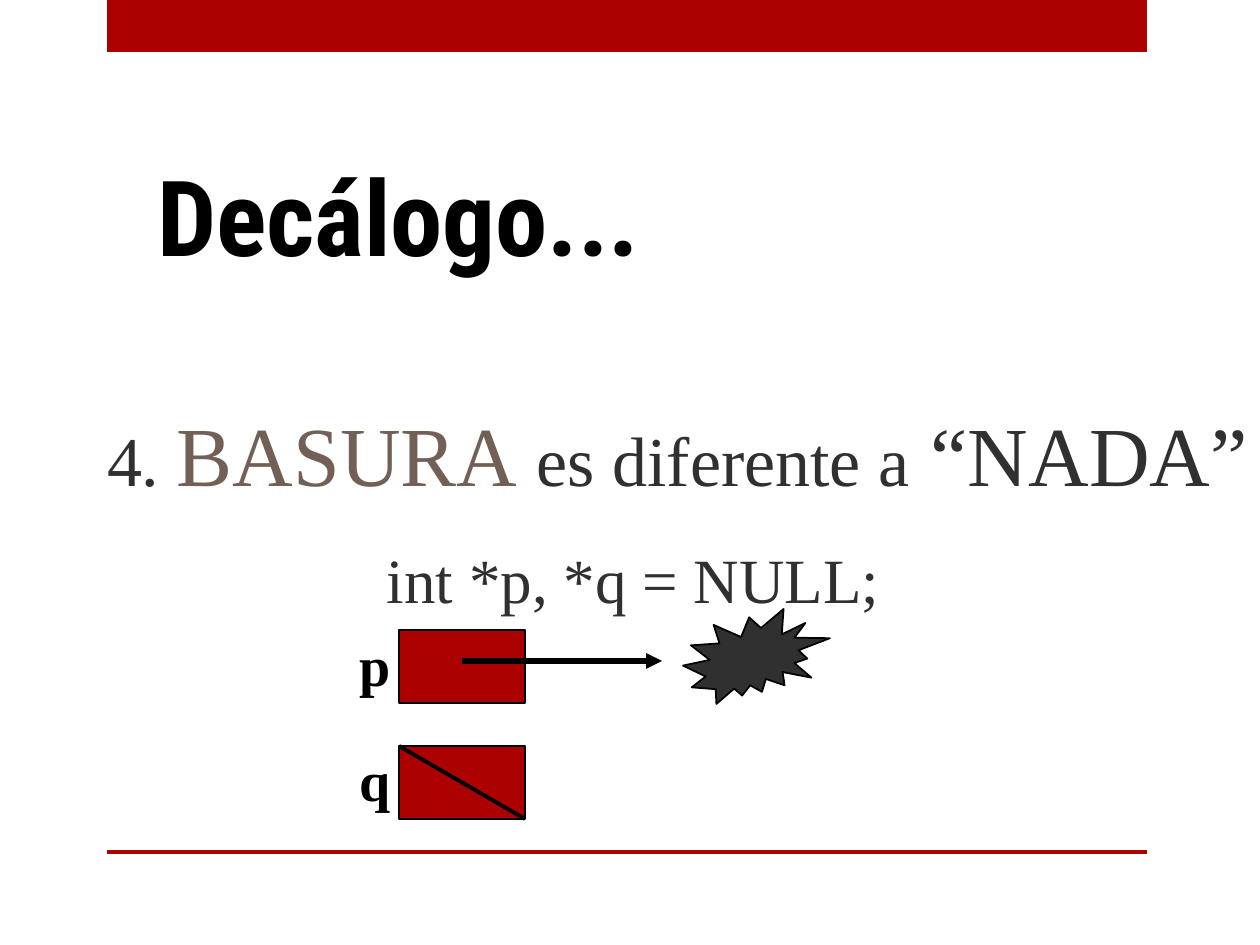
from lxml import etree
from pptx import Presentation
from pptx.dml.color import RGBColor
from pptx.enum.shapes import MSO_CONNECTOR as CONNECTOR, MSO_SHAPE as SHAPE
from pptx.enum.text import MSO_ANCHOR as ANCHOR, PP_ALIGN as ALIGN
from pptx.oxml.ns import qn
from pptx.util import Emu, Pt

PIXEL = 914400 // 126
RED, BLACK, DARK, BROWN = "AD0101", "000000", "303030", "726056"
SERIF, CONDENSED = "Times New Roman", "Roboto Condensed"


def px(*lengths):
    """Turn pixel lengths into EMU."""
    return [Emu(length * PIXEL) for length in lengths]


def color(value):
    """Turn a hex string into a colour."""
    return RGBColor.from_string(value)


def style(run, size, face=SERIF, ink=DARK, bold=False):
    """Format one run."""
    run.font.size, run.font.name, run.font.bold = Pt(size), face, bold
    run.font.color.rgb = color(ink)


def setup_frame(frame, anchor, wrap=True, bottom=6):
    """Set the insets, wrapping and anchor of a text frame."""
    frame.margin_left, frame.margin_top = px(13, 6)
    frame.margin_right, frame.margin_bottom = px(13, bottom)
    frame.word_wrap, frame.vertical_anchor = wrap, anchor


def add_block(slide, kind, box, fill, outlined=False):
    """Add a filled shape, with a thin black outline if asked."""
    block = slide.shapes.add_shape(kind, *px(*box))
    block.shadow.inherit = False
    block.fill.solid()
    block.fill.fore_color.rgb = color(fill)
    if outlined:
        block.line.color.rgb = color(BLACK)
        block.line.width = Pt(1)
    else:
        block.line.fill.background()


def add_stroke(slide, ends, width, arrow=False):
    """Add a straight black line, optionally ending in an arrowhead."""
    stroke = slide.shapes.add_connector(CONNECTOR.STRAIGHT, *px(*ends))
    stroke.line.color.rgb = color(BLACK)
    stroke.line.width = Pt(width)
    properties = stroke.element.spPr
    if arrow:
        etree.SubElement(properties.get_or_add_ln(), qn("a:tailEnd"), type="triangle")
    etree.SubElement(properties, qn("a:effectLst"))


def add_title(slide, text):
    """Place and format the slide title."""
    title = slide.shapes.title
    title.left, title.top, title.width, title.height = px(144, 126, 968, 158)
    frame = title.text_frame
    setup_frame(frame, ANCHOR.BOTTOM)
    frame.text = text
    frame.paragraphs[0].alignment = ALIGN.LEFT
    style(frame.paragraphs[0].runs[0], 60, CONDENSED, BLACK, True)


def add_rule(slide):
    """Add the rule and its line of code."""
    frame = slide.shapes.add_textbox(*px(84, 284, 1207, 557)).text_frame
    setup_frame(frame, ANCHOR.MIDDLE, bottom=112)
    lines = [
        (10, 0, [("4. ", 40, DARK), ("BASURA", 48, BROWN), (" ", 44, DARK),
                 ("es diferente a", 40, DARK), (" “NADA”", 48, DARK)]),
        (290, 21, [("int *p, *q = NULL;", 36, DARK)]),
    ]
    for index, (indent, gap, parts) in enumerate(lines):
        line = frame.add_paragraph() if index else frame.paragraphs[0]
        line.space_before = Pt(gap)
        line._p.get_or_add_pPr().set("marL", str(indent * PIXEL))
        for text, size, ink in parts:
            run = line.add_run()
            run.text = text
            style(run, size, ink=ink)


def add_pointer(slide, name, top):
    """Add a pointer's memory cell with its name on the left."""
    add_block(slide, SHAPE.RECTANGLE, (399, top, 126, 73), RED, True)
    frame = slide.shapes.add_textbox(*px(346, top - 6, 57, 79)).text_frame
    setup_frame(frame, ANCHOR.TOP, wrap=False)
    frame.text = name
    style(frame.paragraphs[0].runs[0], 32, ink=BLACK, bold=True)


def main():
    """Build the slide and save it."""
    deck = Presentation()
    deck.slide_width, deck.slide_height = px(1260, 945)
    slide = deck.slides.add_slide(deck.slide_layouts[5])
    for top, height in ((0, 52), (850, 4)):
        add_block(slide, SHAPE.RECTANGLE, (107, top, 1040, height), RED)
    add_title(slide, "Decálogo...")
    add_rule(slide)
    p_top, q_top = 630, 746
    add_pointer(slide, "p", p_top)
    add_stroke(slide, (462, 661, 662, 661), 3, arrow=True)
    add_block(slide, SHAPE.EXPLOSION2, (683, 609, 147, 95), DARK, True)
    add_pointer(slide, "q", q_top)
    add_stroke(slide, (399, q_top, 525, q_top + 73), 2.25)
    deck.save("out.pptx")


main()
